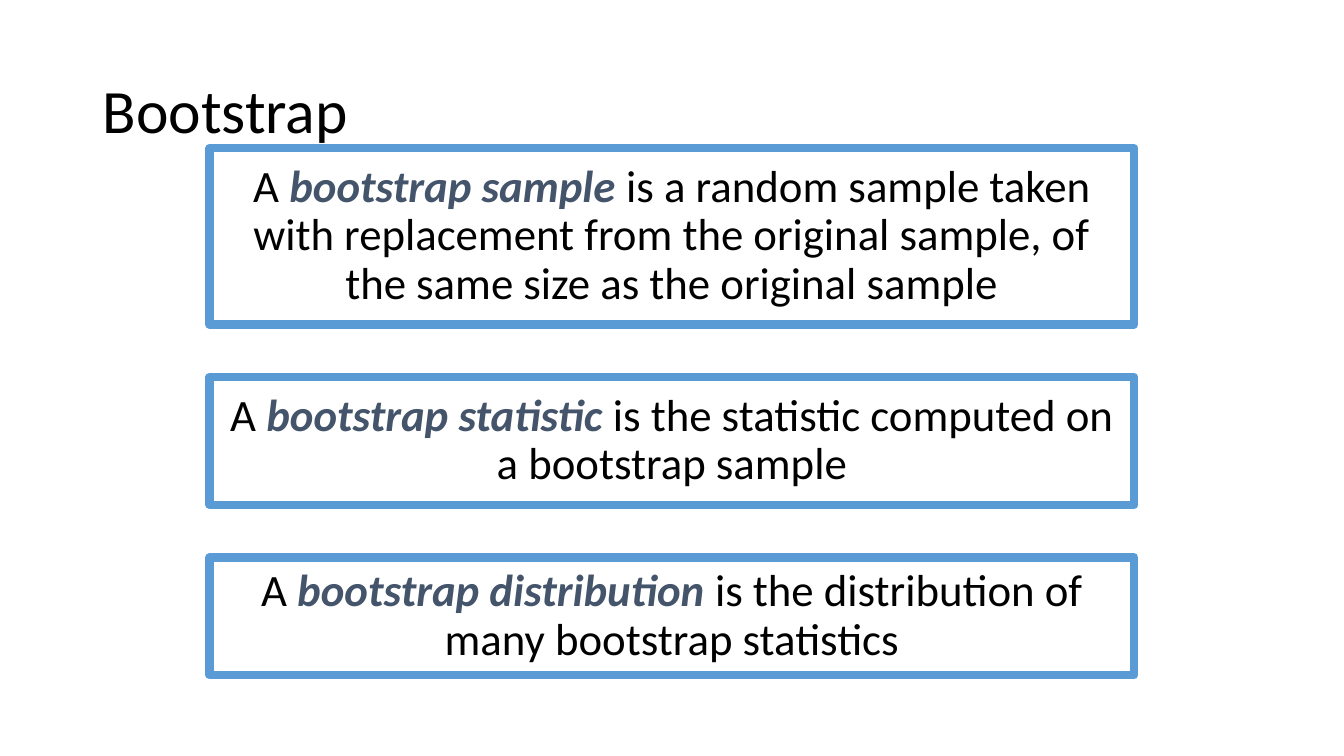
from pptx import Presentation
from pptx.dml.color import RGBColor
from pptx.enum import shapes, text
from pptx.util import Inches, Pt

BLACK = RGBColor(0x00, 0x00, 0x00)
SLATE = RGBColor(0x44, 0x54, 0x6A)
BLUE = RGBColor(0x5B, 0x9B, 0xD5)
FONT = "Calibri"

TITLE = "Bootstrap"
DEFINITIONS = [
    ("bootstrap sample ", "is a random sample taken with replacement from the "
     "original sample, of the same size as the original sample", 1.75),
    ("bootstrap statistic ", "is the statistic computed on a bootstrap sample", 1.27),
    ("bootstrap distribution ", "is the distribution of many bootstrap statistics", 1.17),
]
BOX_LEFT, BOX_TOP, BOX_WIDTH, BOX_GAP = 2.08, 1.47, 9.17, 0.52


def write(shape, spans, size, align=text.PP_ALIGN.LEFT, after=0):
    frame = shape.text_frame
    frame.word_wrap = True
    frame.vertical_anchor = text.MSO_ANCHOR.MIDDLE
    para = frame.paragraphs[0]
    para.alignment = align
    para.line_spacing = 0.9
    para.space_after = Pt(after)
    for words, is_term in spans:
        span = para.add_run()
        span.text = words
        span.font.name = FONT
        span.font.size = Pt(size)
        span.font.bold = span.font.italic = is_term
        span.font.color.rgb = SLATE if is_term else BLACK


deck = Presentation()
deck.slide_width, deck.slide_height = Inches(13.33), Inches(7.5)
page = deck.slides.add_slide(deck.slide_layouts[6])

title = page.shapes.add_textbox(Inches(0.92), Inches(0.4), Inches(11.5), Inches(1.45))
write(title, [(TITLE, False)], size=44)

top = BOX_TOP
for term, meaning, height in DEFINITIONS:
    box = page.shapes.add_shape(shapes.MSO_SHAPE.RECTANGLE, Inches(BOX_LEFT),
                                Inches(top), Inches(BOX_WIDTH), Inches(height))
    box.shadow.inherit = False
    box.fill.background()
    box.line.color.rgb = BLUE
    box.line.width = Pt(6)
    write(box, [("A ", False), (term, True), (meaning, False)], size=32,
          align=text.PP_ALIGN.CENTER, after=18)
    top += height + BOX_GAP

deck.save("out.pptx")
